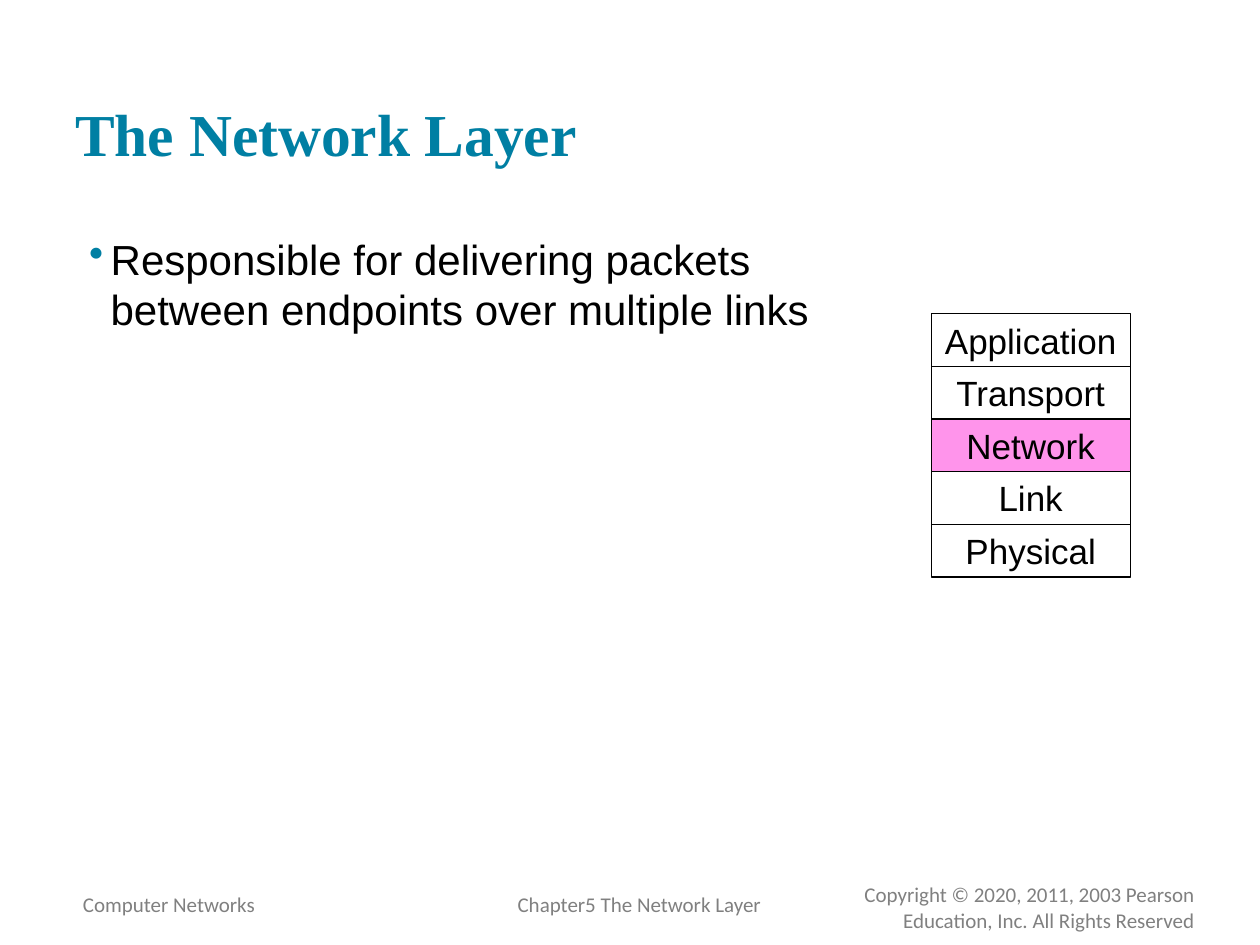
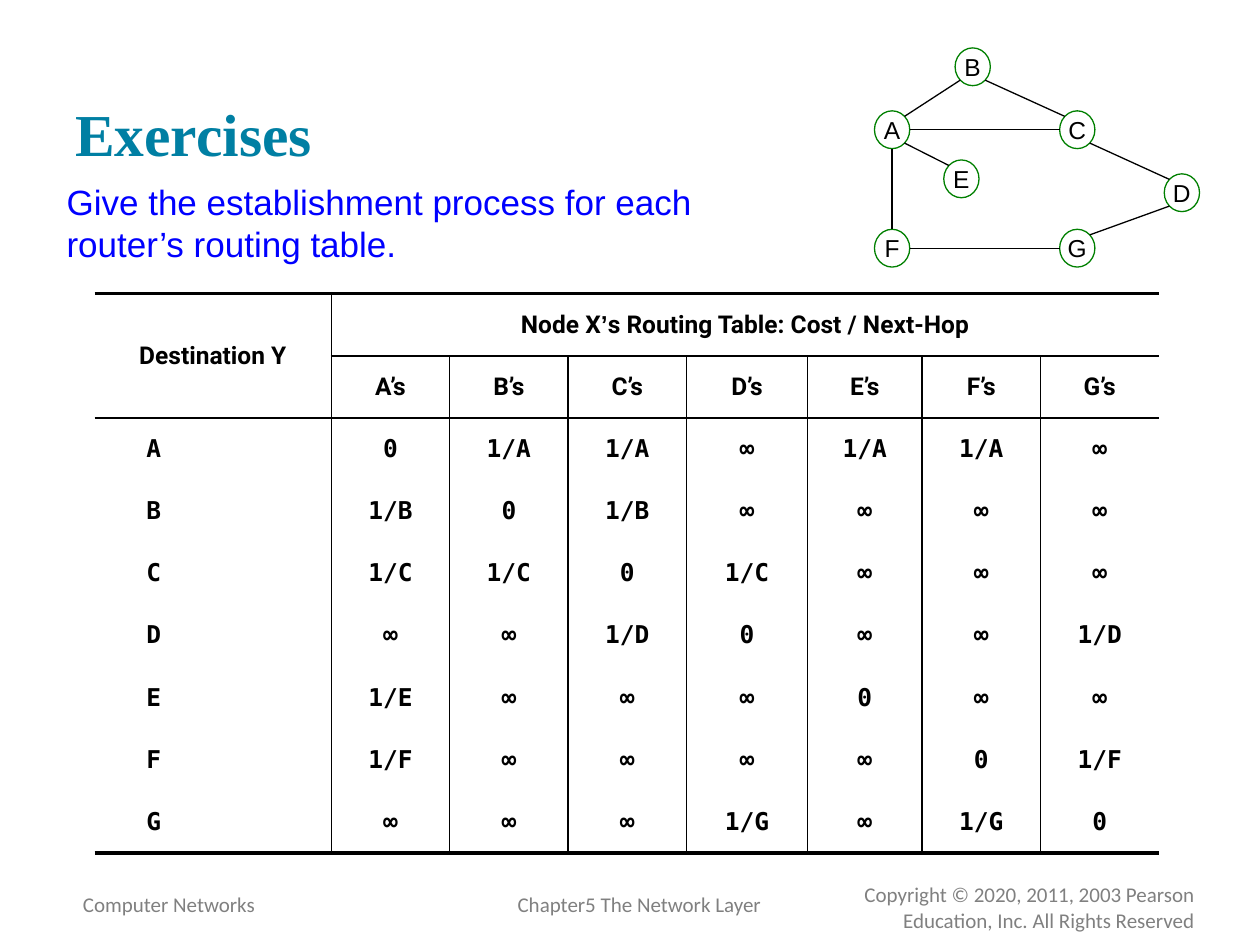
from math import sqrt

from lxml.etree import SubElement as Sub
from pptx import Presentation
from pptx.dml.color import RGBColor as RGB
from pptx.enum.shapes import MSO_CONNECTOR as Link, MSO_SHAPE as Shape
from pptx.enum.text import MSO_ANCHOR as Anchor, PP_ALIGN as Align
from pptx.oxml.ns import qn
from pptx.util import Inches, Pt

WIDTH, HEIGHT = Inches(10), Inches(7.5)

TEAL = RGB(0x00, 0x7F, 0xA3)
GRAY = RGB(0x80, 0x80, 0x80)
BLACK = RGB(0x00, 0x00, 0x00)
WHITE = RGB(0xFF, 0xFF, 0xFF)
PINK = RGB(0xFF, 0x2B, 0xD8)
GREEN = RGB(0x00, 0x80, 0x00)
BLUE = RGB(0x00, 0x00, 0xFF)

SANS, SERIF, FOOT = "Arial", "Times New Roman", "Calibri"
HEAD, MONO = "Roboto", "DejaVu Sans Mono"

LAYERS = ["Application", "Transport", "Network", "Link", "Physical"]

# Node centres, in percent of the slide's width and height
NODES = {
    "A": (70.8, 13.73), "B": (77.2, 7.07), "C": (85.5, 13.73),
    "D": (93.8, 20.4), "E": (76.3, 18.93), "F": (70.8, 26.27),
    "G": (85.5, 26.27),
}
NODE_W, NODE_H = 2.8, 4
EDGES = ["AB", "BC", "CD", "AE", "AF", "FG", "GD", "AC"]

COSTS = """
0 1/A 1/A ∞ 1/A 1/A ∞
1/B 0 1/B ∞ ∞ ∞ ∞
1/C 1/C 0 1/C ∞ ∞ ∞
∞ ∞ 1/D 0 ∞ ∞ 1/D
1/E ∞ ∞ ∞ 0 ∞ ∞
1/F ∞ ∞ ∞ ∞ 0 1/F
∞ ∞ ∞ 1/G ∞ 1/G 0
"""
COLS = [0.94] * 5 + [0.96, 0.91] + [0.94] * 2


def place(x, y, *size):
    """Turn percent of the slide's width and height into lengths."""
    pairs = (x, y) + size
    return [int(part * (HEIGHT if i % 2 else WIDTH) / 100)
            for i, part in enumerate(pairs)]


def style(para, face, size, color, bold=False, align=Align.LEFT):
    para.alignment = align
    font = para.font
    font.name, font.size, font.bold = face, Pt(size), bold
    font.color.rgb = color


def label(slide, spot, text, face, size, color, bold=False,
          align=Align.LEFT, pad=(0.1, 0.05), wrap=True, anchor=Anchor.TOP):
    """Add a text box and return its paragraph."""
    frame = slide.shapes.add_textbox(*place(*spot)).text_frame
    frame.word_wrap, frame.vertical_anchor = wrap, anchor
    frame.margin_left = frame.margin_right = Inches(pad[0])
    frame.margin_top = frame.margin_bottom = Inches(pad[1])
    para = frame.paragraphs[0]
    para.text = text
    style(para, face, size, color, bold, align)
    return para


def bullet(para, color):
    props = para._p.get_or_add_pPr()
    props.set("marL", str(Inches(0.28)))
    props.set("indent", str(Inches(-0.17)))
    mark = Sub(Sub(props, qn("a:buClr")), qn("a:srgbClr"))
    mark.set("val", str(color))
    Sub(props, qn("a:buChar")).set("char", "•")
    # The default run properties must follow the bullet
    props.append(props.find(qn("a:defRPr")))


def tint(fill, color):
    """Fill with a half-transparent colour."""
    fill.solid()
    fill.fore_color.rgb = color
    node = next(fill._xPr.find(qn("a:solidFill")).iterchildren())
    Sub(node, qn("a:alpha")).set("val", "50000")


def block(slide, kind, spot, text, size, line, color=None):
    """Add an outlined shape with a centred label."""
    shape = slide.shapes.add_shape(kind, *place(*spot))
    shape.shadow.inherit = False
    if color is None:
        shape.fill.background()
    else:
        tint(shape.fill, color)
    shape.line.color.rgb, shape.line.width = line, Pt(0.75)
    frame = shape.text_frame
    frame.word_wrap, frame.vertical_anchor = False, Anchor.MIDDLE
    frame.margin_left = frame.margin_right = 0
    frame.margin_top = frame.margin_bottom = 0
    frame.text = text
    style(frame.paragraphs[0], SANS, size, BLACK, align=Align.CENTER)


def sign(num):
    return (num > 0) - (num < 0)


def rim(start, goal):
    """Find the compass point on a node's outline that faces another."""
    (x, y), (far_x, far_y) = NODES[start], NODES[goal]
    dx, dy = sign(far_x - x), sign(far_y - y)
    norm = 2 * sqrt(dx * dx + dy * dy)
    return place(x + dx * NODE_W / norm, y + dy * NODE_H / norm)


def graph(slide):
    for name, (x, y) in NODES.items():
        spot = (x - NODE_W / 2, y - NODE_H / 2, NODE_W, NODE_H)
        block(slide, Shape.OVAL, spot, name, 14, GREEN)
    for one, two in EDGES:
        line = slide.shapes.add_connector(
            Link.STRAIGHT, *rim(one, two), *rim(two, one))
        line.line.color.rgb, line.line.width = BLACK, Pt(0.75)
        Sub(line._element.spPr, qn("a:effectLst"))


def stack(slide, x, y, width, height):
    for row, name in enumerate(LAYERS):
        color = PINK if name == "Network" else None
        spot = (x, y + row * height, width, height)
        block(slide, Shape.RECTANGLE, spot, name, 20, BLACK, color)


def upright(row, edge):
    """Give the width of a vertical rule, in points."""
    return 1 if edge == 2 or (row and 2 < edge < 9) else 0


def level(col, edge):
    """Give the width of a horizontal rule, in points."""
    if edge in (0, 9):
        return 2.25
    return 1 if edge == 2 or (edge == 1 and col > 1) else 0


def rule(cell, side, width):
    line = Sub(cell._tc.get_or_add_tcPr(), qn("a:ln" + side))
    if not width:
        Sub(line, qn("a:noFill"))
        return
    line.set("w", str(Pt(width)))
    ink = Sub(Sub(line, qn("a:solidFill")), qn("a:srgbClr"))
    ink.set("val", str(BLACK))


def fill_cell(cell, face, *parts):
    """Write runs, given as text and font, into a centred cell."""
    cell.vertical_anchor = Anchor.MIDDLE
    para = cell.text_frame.paragraphs[0]
    style(para, face, 14, BLACK, True, Align.CENTER)
    for text, own in parts:
        run = para.add_run()
        run.text = text
        if own != face:
            run.font.name = own


def routes(slide):
    frame = slide.shapes.add_table(9, 9, *place(7.5, 31.07, 84.4, 59.2))
    table = frame.table
    table.first_row = table.horz_banding = False
    for col, width in zip(table.columns, COLS):
        col.width = Inches(width)
    table.cell(0, 0).merge(table.cell(1, 1))
    table.cell(0, 2).merge(table.cell(0, 8))

    fill_cell(table.cell(0, 0), HEAD, ("Destination Y", HEAD))
    fill_cell(table.cell(0, 2), HEAD, ("Node X", HEAD), ("’", SANS),
              ("s Routing Table: Cost / Next-Hop", HEAD))
    costs = COSTS.strip().splitlines()
    for i, (name, line) in enumerate(zip(NODES, costs), 2):
        fill_cell(table.cell(1, i), HEAD, (f"{name}’s", HEAD))
        fill_cell(table.cell(i, 0), MONO, (name, MONO))
        for col, cost in enumerate(line.split(), 2):
            fill_cell(table.cell(i, col), MONO, (cost, MONO))

    for row in range(9):
        for col in range(9):
            cell = table.cell(row, col)
            wide = cell.span_width if cell.is_merge_origin else 1
            tall = cell.span_height if cell.is_merge_origin else 1
            rule(cell, "L", upright(row, col))
            rule(cell, "R", upright(row, col + wide))
            rule(cell, "T", level(col, row))
            rule(cell, "B", level(col, row + tall))
            tint(cell.fill, WHITE)


def page(deck, title):
    """Add a slide with its footers and title."""
    slide = deck.slides.add_slide(deck.slide_layouts[6])
    foot = (FOOT, 12, GRAY)
    label(slide, (64.1, 92.67, 31.7, 2.93),
          "Copyright © 2020, 2011, 2003 Pearson Education, Inc. "
          "All Rights Reserved", *foot, align=Align.RIGHT)
    label(slide, (5.6, 93.73, 34.6, 4), "Computer Networks", *foot)
    label(slide, (40.1, 93.73, 21.4, 4), "Chapter5 The Network Layer",
          *foot, wrap=False)
    label(slide, (5, 3.2, 90, 16), title, SERIF, 34, TEAL, bold=True,
          pad=(0.1, 0.1), anchor=Anchor.BOTTOM)
    return slide


def main():
    deck = Presentation()
    deck.slide_width, deck.slide_height = WIDTH, HEIGHT

    intro = page(deck, "The Network Layer")
    para = label(intro, (5, 23.33, 63.5, 66),
                 "Responsible for delivering packets between endpoints "
                 "over multiple links", SANS, 24, BLACK, pad=(0.1, 0.1))
    bullet(para, TEAL)
    stack(intro, 73.9, 33.2, 15.8, 5.57)

    task = page(deck, "Exercises")
    graph(task)
    routes(task)
    label(task, (4.3, 18.4, 60.5, 10.27),
          "Give the establishment process for each router’s routing table.",
          SANS, 20, BLUE)

    deck.save("out.pptx")


if __name__ == "__main__":
    main()
